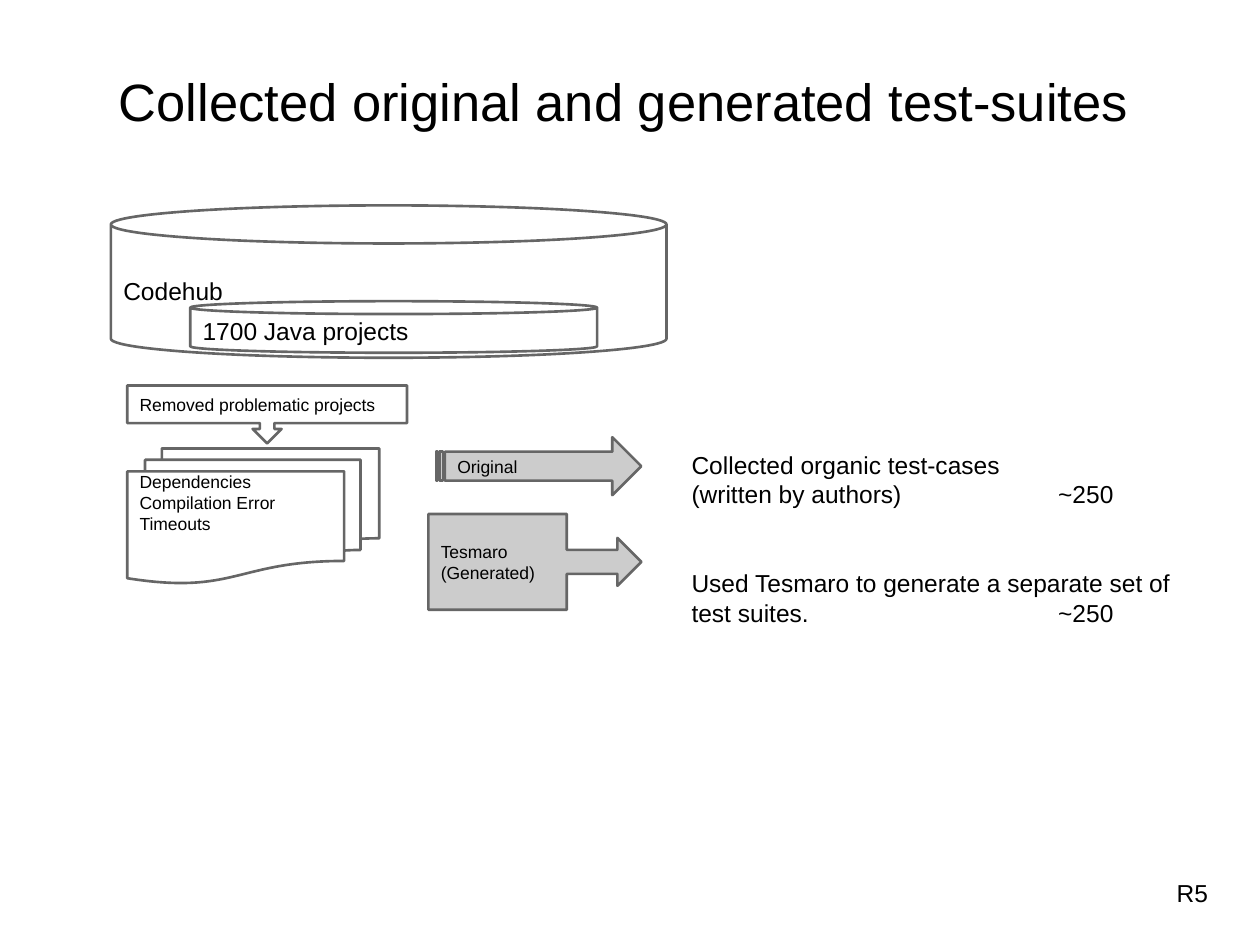
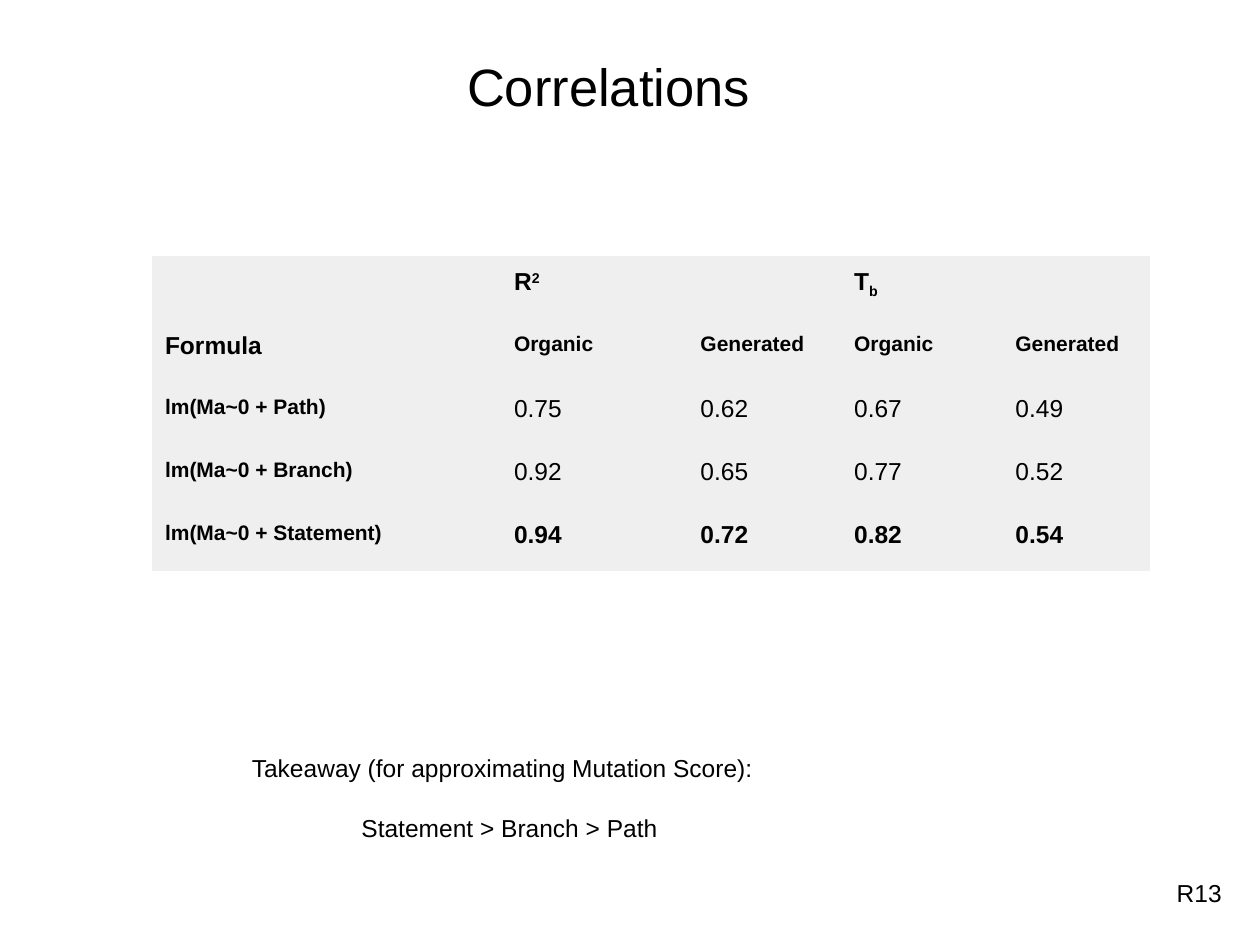
import pptx
import pptx.dml.color
import pptx.enum.shapes
import pptx.enum.text
import pptx.oxml
import pptx.oxml.ns
import pptx.util

Inch, Pt = pptx.util.Inches, pptx.util.Pt
Kind = pptx.enum.shapes.MSO_SHAPE
Anchor = pptx.enum.text.MSO_ANCHOR
Align = pptx.enum.text.PP_ALIGN

FONT = "Arial"
COLORS = {"text": "000000", "line": "666666", "arrow": "CCCCCC", "cell": "EFEFEF"}
INSET = 0.1

# kind, (left, top, width, height), lines, size, fill
FLOW = [
    (Kind.CAN, (0.88, 1.63, 4.41, 1.21), ["Codehub"], 14, None),
    (Kind.CAN, (1.51, 2.39, 3.23, 0.41), ["1700 Java projects"], 14, None),
    (Kind.FLOWCHART_MULTIDOCUMENT, (1.01, 3.56, 2, 1.07),
     ["Dependencies", "Compilation Error", "Timeouts"], 10, None),
    (Kind.DOWN_ARROW_CALLOUT, (1.01, 3.06, 2.22, 0.46),
     ["Removed problematic projects"], 10, None),
    (Kind.STRIPED_RIGHT_ARROW, (3.46, 3.47, 1.63, 0.46), ["Original"], 10, "arrow"),
    (Kind.RIGHT_ARROW_CALLOUT, (3.4, 4.08, 1.69, 0.76),
     ["Tesmaro", "(Generated)"], 10, "arrow"),
]
SUITES = [
    "Collected organic test-cases",
    "(written by authors)\t~250",
    "Used Tesmaro to generate a separate set of test suites.\t~250",
]
TAKEAWAY = ["Takeaway (for approximating Mutation Score):", "Statement > Branch > Path"]

# A head is a letter with a raised (+) or lowered (-) mark, in percent
HEADS = {1: ("R", "2", 30), 3: ("T", "b", -25)}
ROWS = [
    ["Formula", "Organic", "Generated", "Organic", "Generated"],
    ["lm(Ma~0 + Path)", "0.75", "0.62", "0.67", "0.49"],
    ["lm(Ma~0 + Branch)", "0.92", "0.65", "0.77", "0.52"],
    ["lm(Ma~0 + Statement)", "0.94", "0.72", "0.82", "0.54"],
]
WIDTHS = [2.77, 1.48, 1.22, 1.28, 1.17]
ROW = 0.5
PLAIN = "{2D5ABB26-0587-4C30-8999-92F81FD0307C}"  # table style without grid


def color(name):
    return pptx.dml.color.RGBColor.from_string(COLORS[name])


def inches(box):
    return [Inch(v) for v in box]


def style(para, size, bold=False, align=Align.LEFT):
    para.alignment = align
    font = para.font
    font.name, font.size, font.bold = FONT, Pt(size), bold
    font.color.rgb = color("text")


def pad(part):
    """Give a text frame or a table cell the shared margins."""
    part.margin_left = part.margin_right = Inch(INSET)
    part.margin_top = part.margin_bottom = Inch(INSET)


def write(frame, lines, size, anchor=Anchor.TOP, align=Align.LEFT):
    frame.word_wrap = True
    frame.auto_size = pptx.enum.text.MSO_AUTO_SIZE.NONE
    frame.vertical_anchor = anchor
    pad(frame)
    frame.text = "\n".join(lines)
    for para in frame.paragraphs:
        style(para, size, align=align)
    return frame


def add_text(slide, box, lines):
    return write(slide.shapes.add_textbox(*inches(box)).text_frame, lines, 14)


def add_slide(deck, title, spot, number):
    slide = deck.slides.add_slide(deck.slide_layouts.get_by_name("Title Only"))
    head = slide.shapes.title
    head.left, head.top, head.width, head.height = inches((spot, spot, 9, 0.76))
    write(head.text_frame, [title], 30, align=Align.CENTER)
    add_text(slide, (9.24, 6.87, 0.58, 0.46), [number])
    return slide


def add_tab(para, at):
    tabs = pptx.oxml.parse_xml(
        f'<a:tabLst {pptx.oxml.ns.nsdecls("a")}>'
        f'<a:tab pos="{Inch(at)}" algn="l"/></a:tabLst>')
    para._p.pPr.find(pptx.oxml.ns.qn("a:defRPr")).addprevious(tabs)


def add_step(slide, kind, box, lines, size, fill):
    step = slide.shapes.add_shape(kind, *inches(box))
    step.shadow.inherit = False
    if fill:
        step.fill.solid()
        step.fill.fore_color.rgb = color(fill)
    else:
        step.fill.background()
    step.line.color.rgb = color("line")
    step.line.width = Pt(1.5)
    stack = kind == Kind.FLOWCHART_MULTIDOCUMENT
    frame = write(step.text_frame, lines, size, Anchor.TOP if stack else Anchor.MIDDLE)
    if stack:
        frame.margin_top = 0


def add_table(slide):
    rows = len(ROWS) + 1
    grid = slide.shapes.add_table(
        rows, len(WIDTHS), *inches((1.21, 2.03, sum(WIDTHS), rows * ROW))).table
    grid.first_row = grid.horz_banding = False
    grid._tbl.tblPr.find(pptx.oxml.ns.qn("a:tableStyleId")).text = PLAIN
    for col, width in zip(grid.columns, WIDTHS):
        col.width = Inch(width)
    for cell in grid.iter_cells():
        cell.fill.solid()
        cell.fill.fore_color.rgb = color("cell")
        pad(cell)
    for c, (letter, mark, shift) in HEADS.items():
        cell = grid.cell(0, c)
        cell.merge(grid.cell(0, c + 1))
        para = cell.text_frame.paragraphs[0]
        para.add_run().text = letter
        run = para.add_run()
        run.text = mark
        run._r.get_or_add_rPr().set("baseline", str(shift * 1000))
        style(para, 14, True)
    for r, row in enumerate(ROWS, 1):
        for c, value in enumerate(row):
            cell = grid.cell(r, c)
            cell.text = value
            label = (r == 1) != (c == 0)
            bold = r in (1, len(ROWS)) or c == 0
            style(cell.text_frame.paragraphs[0], 12 if label else 14, bold)


def main():
    deck = pptx.Presentation()
    deck.slide_width, deck.slide_height = Inch(10), Inch(7.5)

    suites = add_slide(deck, "Collected original and generated test-suites", 0.45, "R5")
    for step in FLOW:
        add_step(suites, *step)
    paras = add_text(suites, (5.39, 3.47, 4.17, 2.13), SUITES).paragraphs
    for para in paras[1:]:
        add_tab(para, 2.91)
    paras[2].space_before = Pt(34)

    scores = add_slide(deck, "Correlations", 0.33, "R13")
    add_table(scores)
    ranks = add_text(scores, (1.9, 5.88, 7.11, 0.59), TAKEAWAY).paragraphs[1]
    ranks.space_before = Pt(17)
    ranks._p.pPr.set("marL", str(Inch(0.87)))

    deck.save("out.pptx")


if __name__ == "__main__":
    main()
